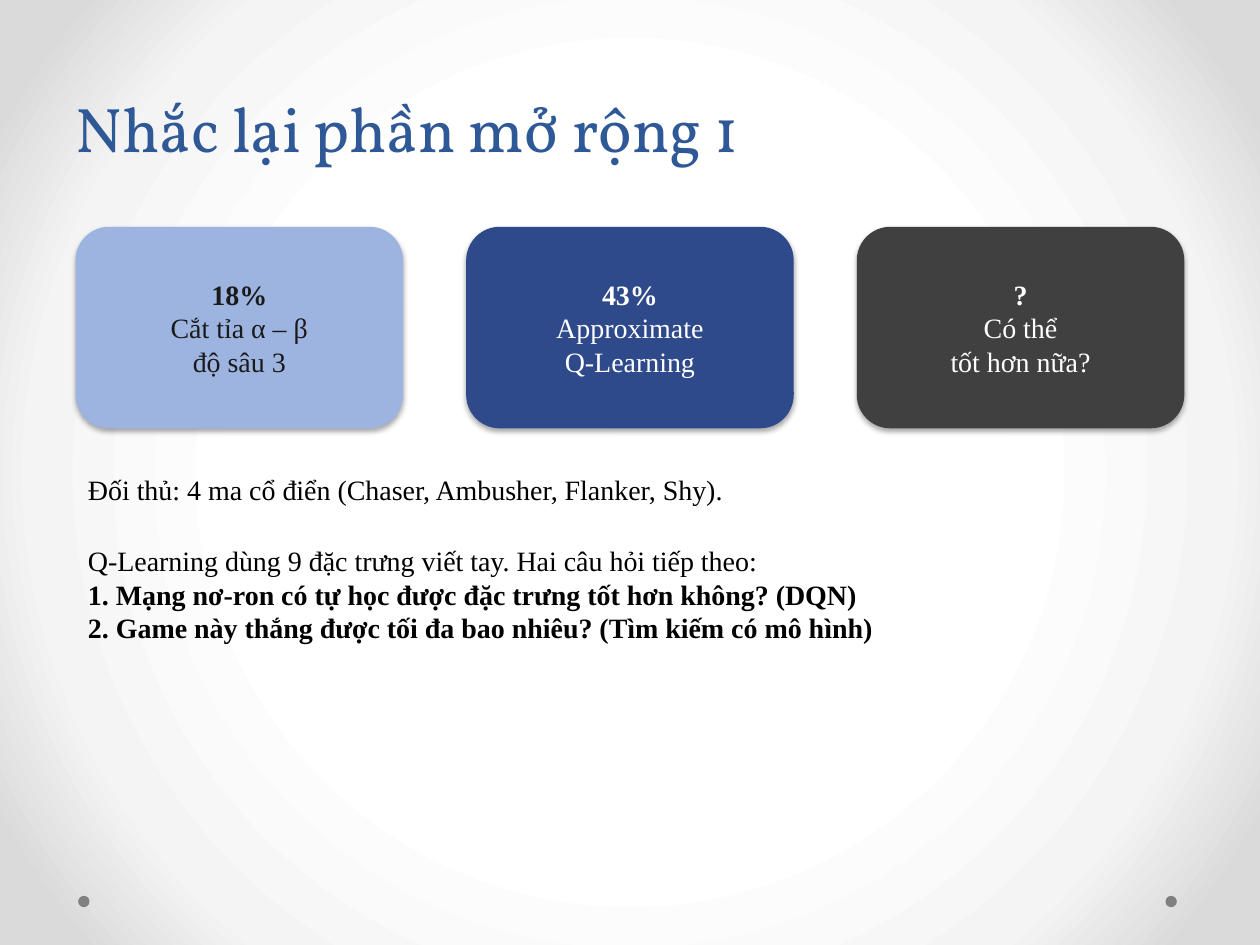
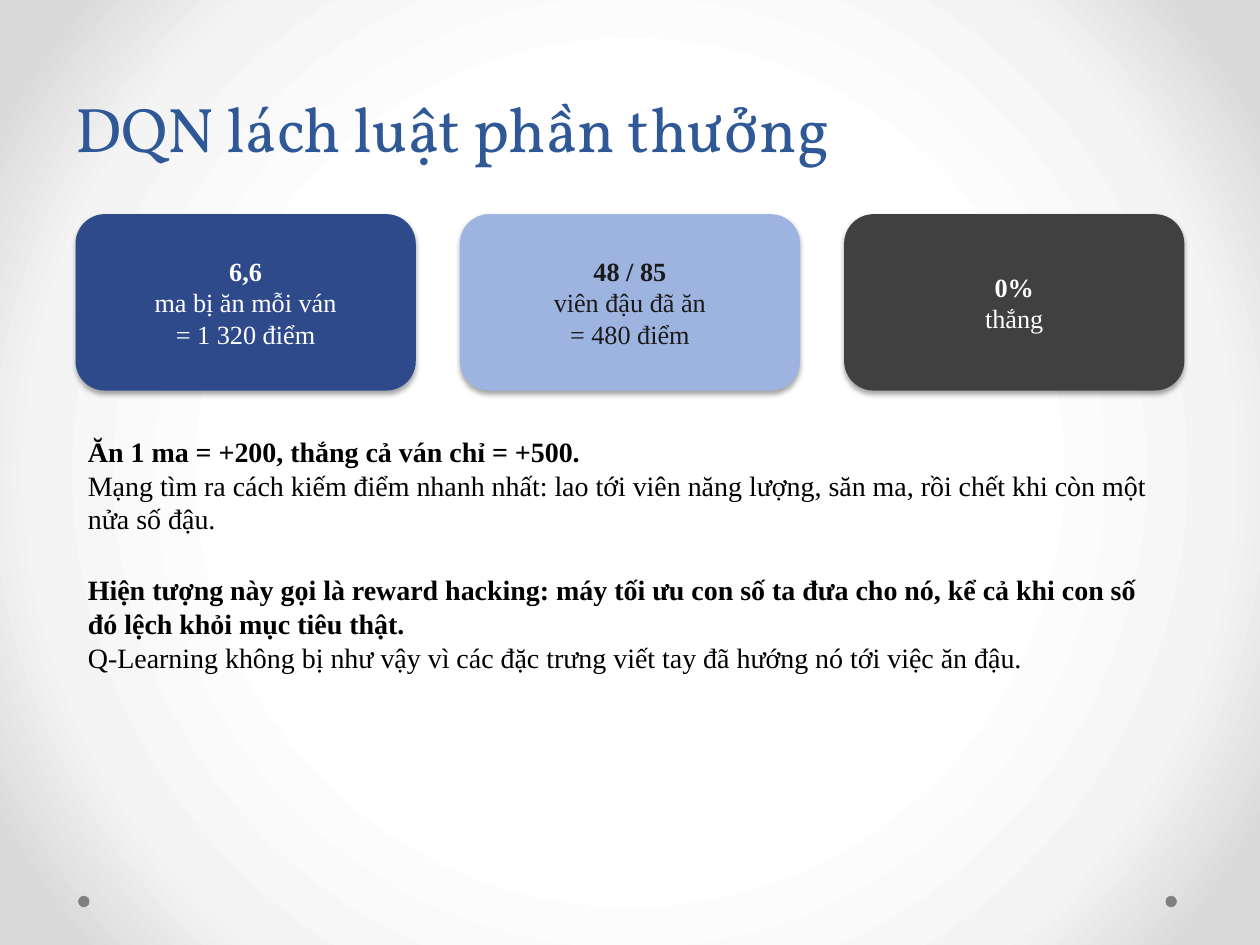
from dataclasses import dataclass

from lxml.etree import SubElement
from pptx import Presentation
from pptx.dml.color import RGBColor
from pptx.enum.shapes import MSO_SHAPE
from pptx.enum.text import MSO_ANCHOR, MSO_AUTO_SIZE, PP_ALIGN
from pptx.oxml import parse_xml
from pptx.oxml.ns import nsdecls, qn
from pptx.presentation import Presentation as Deck
from pptx.shapes.autoshape import Shape
from pptx.slide import Slide
from pptx.text.text import Font
from pptx.util import Inches, Pt

HEX = {
    "title": "2F5897", "dot": "808080", "text": "000000",
    "light": "9DB4E0", "navy": "2E4A8B", "gray": "404040",
    "ink": "1A1A1A", "white": "FFFFFF", "shade": "000000",
}
BACK = [(50, "FFFFFF"), (76, "F4F4F4"), (92, "DADADA")]
SERIF = "Times New Roman"
LEFT, WIDTH = 0.6, 8.8
DOT = 0.09


@dataclass
class Card:
    fill: str
    lines: list[str]
    ink: str = "white"


@dataclass
class Row:
    top: float
    width: float
    height: float
    size: int
    cards: list[Card]


@dataclass
class Line:
    text: str
    bold: bool = False
    gap: bool = False


@dataclass
class Page:
    title: str
    row: Row
    top: float
    height: float
    notes: list[Line]


PAGES = [
    Page(
        "Nhắc lại phần mở rộng 1",
        Row(1.8, 2.6, 1.6, 16, [
            Card("light", ["18%", "Cắt tỉa α – β", "độ sâu 3"], "ink"),
            Card("navy", ["43%", "Approximate", "Q-Learning"]),
            Card("gray", ["?", "Có thể", "tốt hơn nữa?"]),
        ]),
        3.7, 2.6,
        [
            Line("Đối thủ: 4 ma cổ điển (Chaser, Ambusher, Flanker, Shy)."),
            Line("Q-Learning dùng 9 đặc trưng viết tay. Hai câu hỏi tiếp theo:", gap=True),
            Line("1. Mạng nơ-ron có tự học được đặc trưng tốt hơn không? (DQN)", bold=True),
            Line("2. Game này thắng được tối đa bao nhiêu? (Tìm kiếm có mô hình)", bold=True),
        ],
    ),
    Page(
        "DQN lách luật phần thưởng",
        Row(1.7, 2.7, 1.4, 15, [
            Card("navy", ["6,6", "ma bị ăn mỗi ván", "= 1 320 điểm"]),
            Card("light", ["48 / 85", "viên đậu đã ăn", "= 480 điểm"], "ink"),
            Card("gray", ["0%", "thắng"]),
        ]),
        3.4, 3,
        [
            Line("Ăn 1 ma = +200, thắng cả ván chỉ = +500.", bold=True),
            Line("Mạng tìm ra cách kiếm điểm nhanh nhất: lao tới viên năng lượng, "
                 "săn ma, rồi chết khi còn một nửa số đậu."),
            Line("Hiện tượng này gọi là reward hacking: máy tối ưu con số ta đưa cho nó, "
                 "kể cả khi con số đó lệch khỏi mục tiêu thật.", bold=True, gap=True),
            Line("Q-Learning không bị như vậy vì các đặc trưng viết tay "
                 "đã hướng nó tới việc ăn đậu."),
        ],
    ),
]


def style(font: Font, size: float, color: str, bold: bool = False, name: str = SERIF) -> None:
    font.name, font.size, font.bold = name, Pt(size), bold
    font.color.rgb = RGBColor.from_string(HEX[color])


def paint(shape: Shape, color: str) -> None:
    """Give a shape a plain fill with no line or shadow."""
    shape.shadow.inherit = False
    shape.fill.solid()
    shape.fill.fore_color.rgb = RGBColor.from_string(HEX[color])
    shape.line.fill.background()


def set_back(deck: Deck) -> None:
    """Put the round gradient on the master, for all slides."""
    master = deck.slide_master
    master.background.fill.solid()
    props = master.element.find(".//" + qn("p:bgPr"))
    stops = "".join(
        f'<a:gs pos="{pos * 1000}"><a:srgbClr val="{color}"/></a:gs>' for pos, color in BACK
    )
    props.replace(props[0], parse_xml(
        f'<a:gradFill {nsdecls("a")} rotWithShape="1"><a:gsLst>{stops}</a:gsLst>'
        '<a:path path="circle"><a:fillToRect l="50000" t="50000" r="50000" b="50000"/>'
        "</a:path></a:gradFill>"
    ))


def add_dots(slide: Slide) -> None:
    for left in (9.25, 0.62):
        dot = slide.shapes.add_shape(
            MSO_SHAPE.OVAL, Inches(left), Inches(7.11), Inches(DOT), Inches(DOT))
        paint(dot, "dot")


def set_title(slide: Slide, text: str) -> None:
    title = slide.shapes.title
    title.left, title.top = Inches(0.5), Inches(0.36)
    title.width, title.height = Inches(9), Inches(1)
    frame = title.text_frame
    frame.text = text
    frame.auto_size = MSO_AUTO_SIZE.NONE
    frame.vertical_anchor = MSO_ANCHOR.BOTTOM
    para = frame.paragraphs[0]
    para.alignment = PP_ALIGN.LEFT
    para.line_spacing = Pt(58)
    style(para.font, 36, "title", name="Vollkorn")


def add_shadow(shape: Shape) -> None:
    """Cast a soft shadow straight down."""
    effects = shape.element.spPr.find(qn("a:effectLst"))
    outer = SubElement(effects, qn("a:outerShdw"), blurRad=str(Pt(3.1)),
                       dist=str(Pt(1.8)), dir="5400000", rotWithShape="0")
    color = SubElement(outer, qn("a:srgbClr"), val=HEX["shade"])
    SubElement(color, qn("a:alpha"), val="35000")


def add_cards(slide: Slide, row: Row) -> None:
    step = (WIDTH - row.width) / (len(row.cards) - 1)
    for col, card in enumerate(row.cards):
        box = slide.shapes.add_shape(
            MSO_SHAPE.ROUNDED_RECTANGLE, Inches(LEFT + col * step), Inches(row.top),
            Inches(row.width), Inches(row.height))
        paint(box, card.fill)
        add_shadow(box)
        frame = box.text_frame
        frame.word_wrap = True
        frame.vertical_anchor = MSO_ANCHOR.MIDDLE
        frame.margin_left = frame.margin_right = Inches(0.05)
        frame.margin_top = frame.margin_bottom = Inches(0.05)
        frame.text = "\n".join(card.lines)
        for rank, para in enumerate(frame.paragraphs):
            para.alignment = PP_ALIGN.CENTER
            style(para.font, row.size, card.ink, bold=rank == 0)


def add_notes(slide: Slide, page: Page) -> None:
    box = slide.shapes.add_textbox(
        Inches(LEFT), Inches(page.top), Inches(WIDTH), Inches(page.height))
    frame = box.text_frame
    frame.word_wrap = True
    frame.auto_size = MSO_AUTO_SIZE.SHAPE_TO_FIT_TEXT
    frame.text = "\n".join(line.text for line in page.notes)
    for para, line in zip(frame.paragraphs, page.notes):
        if line.gap:
            para.space_before = Pt(21.5)
        style(para.font, 16, "text", line.bold)


def main() -> None:
    deck = Presentation()
    deck.slide_width, deck.slide_height = Inches(10), Inches(7.5)
    set_back(deck)
    for page in PAGES:
        slide = deck.slides.add_slide(deck.slide_layouts[5])
        add_dots(slide)
        set_title(slide, page.title)
        add_cards(slide, page.row)
        add_notes(slide, page)
    deck.save("out.pptx")


if __name__ == "__main__":
    main()
